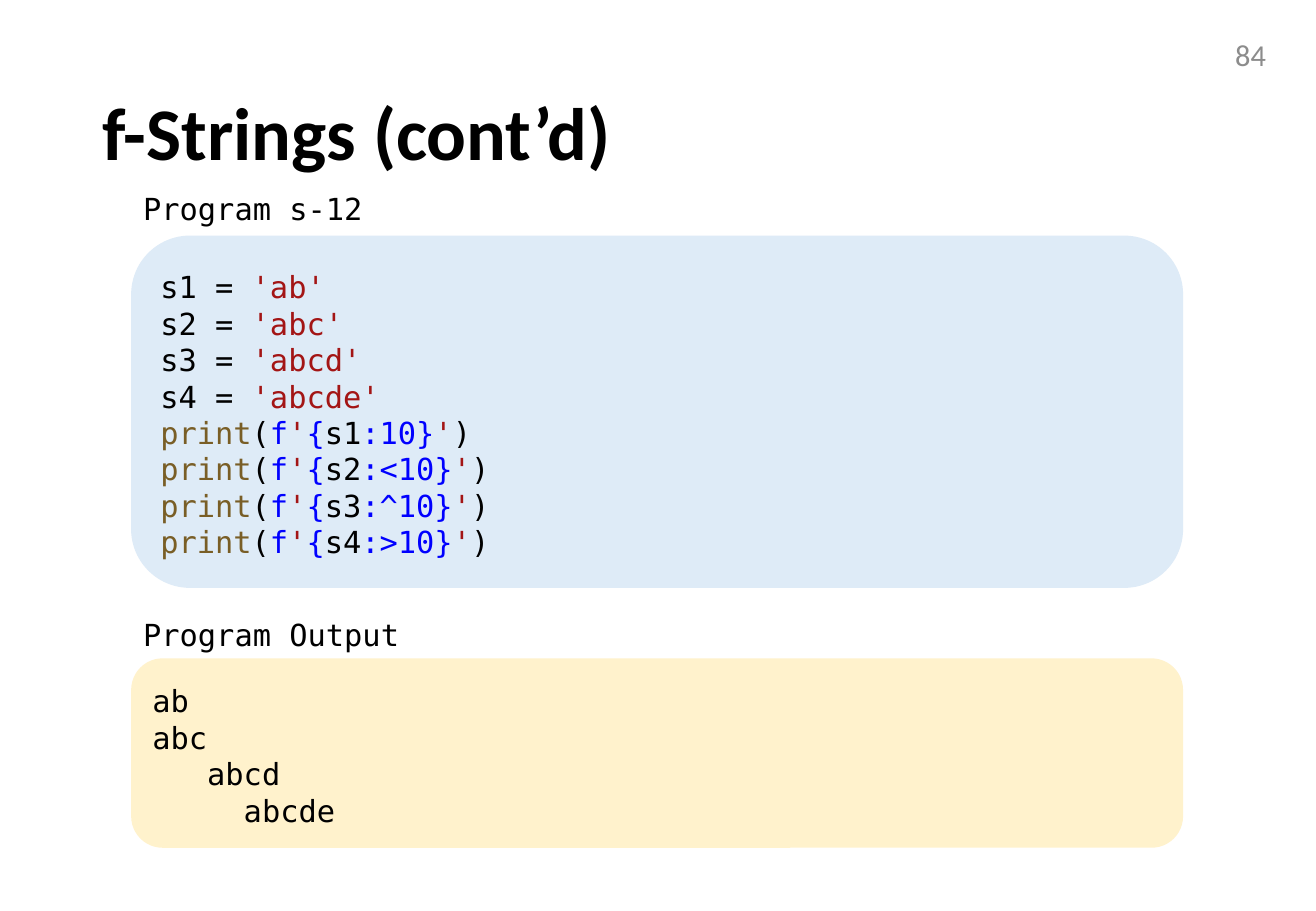
from pptx import Presentation
from pptx.dml.color import RGBColor
from pptx.enum.shapes import MSO_SHAPE as Shape
from pptx.enum.text import MSO_ANCHOR as Anchor, MSO_AUTO_SIZE as AutoSize, PP_ALIGN as Align
from pptx.util import Pt

BLACK = RGBColor(0x00, 0x00, 0x00)
GRAY = RGBColor(0x8C, 0x8C, 0x8C)
STRING_RED = RGBColor(0xA3, 0x15, 0x15)
FUNCTION_BROWN = RGBColor(0x79, 0x5E, 0x26)
FORMAT_BLUE = RGBColor(0x00, 0x00, 0xFF)
CODE_FILL = RGBColor(0xDE, 0xEB, 0xF7)
OUTPUT_FILL = RGBColor(0xFF, 0xF2, 0xCC)

SANS = "Calibri"
MONO = "DejaVu Sans Mono"

PANEL_LEFT, PANEL_WIDTH = 77.76, 623.52
LABEL_HEIGHT = 28.8


def write(frame, lines, font=MONO, size=18, color=BLACK, bold=False,
          align=Align.LEFT, spacing=None):
    """Fill a text frame; each line is a list of (text, colour or None) runs."""
    for number, runs in enumerate(lines):
        paragraph = frame.paragraphs[0] if number == 0 else frame.add_paragraph()
        paragraph.alignment = align
        if spacing:
            paragraph.line_spacing = spacing
        for text, run_color in runs:
            run = paragraph.add_run()
            run.text = text
            run.font.name = font
            run.font.size = Pt(size)
            run.font.bold = bold
            run.font.color.rgb = run_color or color


class SlideBuilder:
    def __init__(self, width, height):
        self.deck = Presentation()
        self.deck.slide_width, self.deck.slide_height = Pt(width), Pt(height)
        self.slide = self.deck.slides.add_slide(self.deck.slide_layouts[5])

    def title(self, text, left, top, width, height):
        heading = self.slide.shapes.title
        heading.left, heading.top = Pt(left), Pt(top)
        heading.width, heading.height = Pt(width), Pt(height)
        frame = heading.text_frame
        frame.vertical_anchor = Anchor.MIDDLE
        frame.auto_size = AutoSize.NONE
        write(frame, [[(text, None)]], font=SANS, size=44, bold=True, spacing=0.9)

    def page_number(self, text, left, top, width, height):
        box = self.slide.shapes.add_textbox(Pt(left), Pt(top), Pt(width), Pt(height))
        box.text_frame.word_wrap = True
        box.text_frame.vertical_anchor = Anchor.MIDDLE
        write(box.text_frame, [[(text, None)]], font=SANS, color=GRAY, align=Align.RIGHT)

    def label(self, text, top, width):
        box = self.slide.shapes.add_textbox(
            Pt(PANEL_LEFT), Pt(top), Pt(width), Pt(LABEL_HEIGHT))
        box.text_frame.word_wrap = False
        box.text_frame.auto_size = AutoSize.SHAPE_TO_FIT_TEXT
        write(box.text_frame, [[(text, None)]])

    def panel(self, lines, top, height, fill):
        panel = self.slide.shapes.add_shape(
            Shape.ROUNDED_RECTANGLE, Pt(PANEL_LEFT), Pt(top), Pt(PANEL_WIDTH), Pt(height))
        panel.shadow.inherit = False
        panel.fill.solid()
        panel.fill.fore_color.rgb = fill
        panel.line.fill.background()
        frame = panel.text_frame
        frame.word_wrap = True
        frame.auto_size = AutoSize.SHAPE_TO_FIT_TEXT
        frame.vertical_anchor = Anchor.MIDDLE
        frame.margin_left = frame.margin_right = Pt(7.2)
        frame.margin_top, frame.margin_bottom = Pt(8.64), Pt(5.76)
        write(frame, lines)


def assignment(name, value):
    return [(f"{name} = ", None), (f"'{value}'", STRING_RED)]


def print_call(name, layout):
    return [("print", FUNCTION_BROWN), ("(", None), ("f", FORMAT_BLUE),
            ("'", STRING_RED), ("{", FORMAT_BLUE), (name, None),
            (f":{layout}}}", FORMAT_BLUE), ("'", STRING_RED), (")", None)]


def main():
    # Variable, value and format specifier of the example program
    examples = [("s1", "ab", "10"), ("s2", "abc", "<10"),
                ("s3", "abcd", "^10"), ("s4", "abcde", ">10")]
    program = [assignment(name, value) for name, value, _ in examples]
    program += [print_call(name, layout) for name, _, layout in examples]
    output = [[(format(value, layout).rstrip(), None)] for _, value, layout in examples]

    # Heading
    builder = SlideBuilder(780, 540)
    builder.title("f-Strings (cont’d)", 53.28, 28.8, 672.48, 104.4)
    builder.page_number("84", 581.76, 18, 175.68, 28.8)

    # Program and its output
    builder.panel(program, 139.68, 208.8, CODE_FILL)
    builder.panel(output, 390.24, 112.32, OUTPUT_FILL)
    builder.label("Program Output", 361.44, 168.48)
    builder.label("Program s-12", 109.44, 146.16)

    builder.deck.save("out.pptx")


if __name__ == "__main__":
    main()
